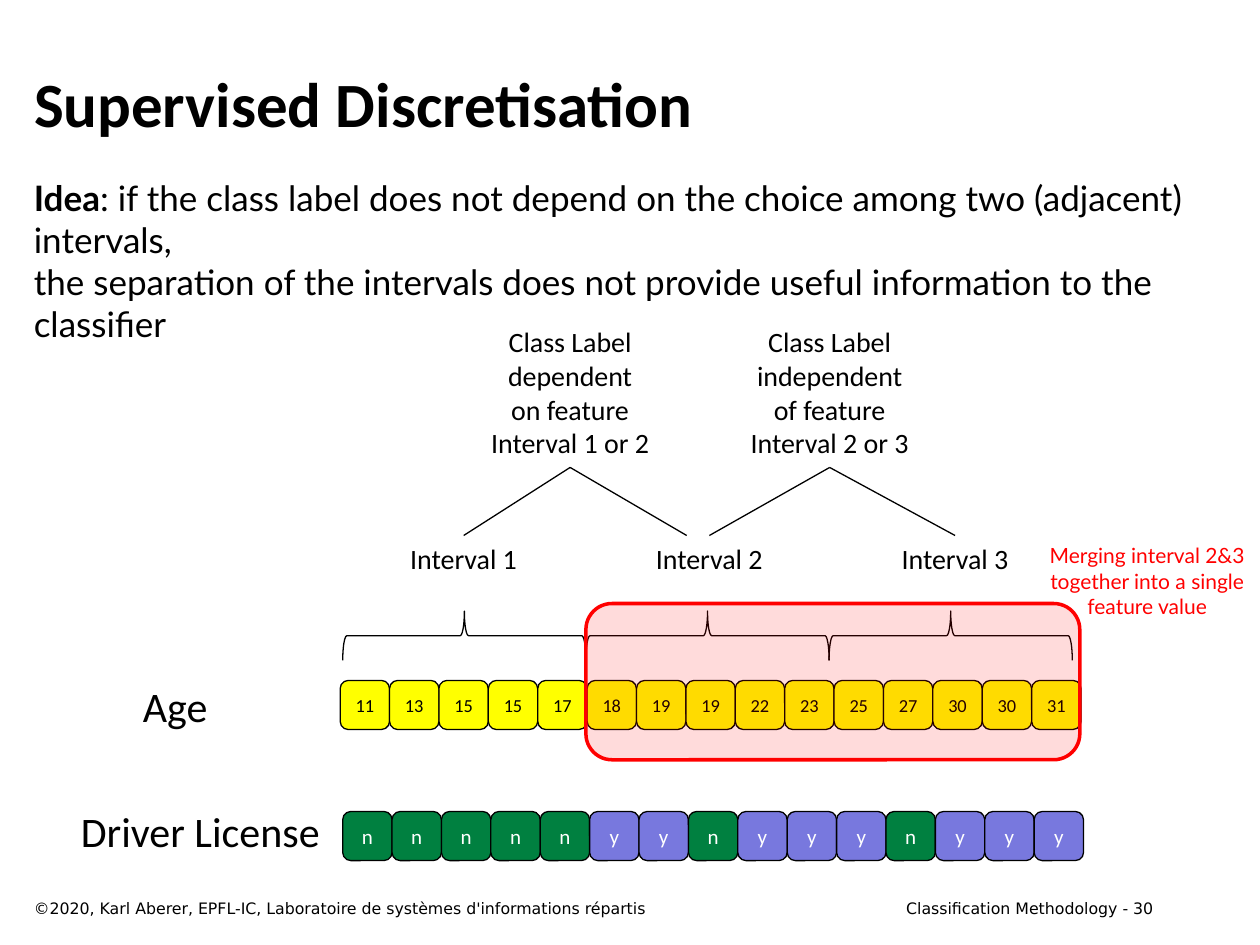
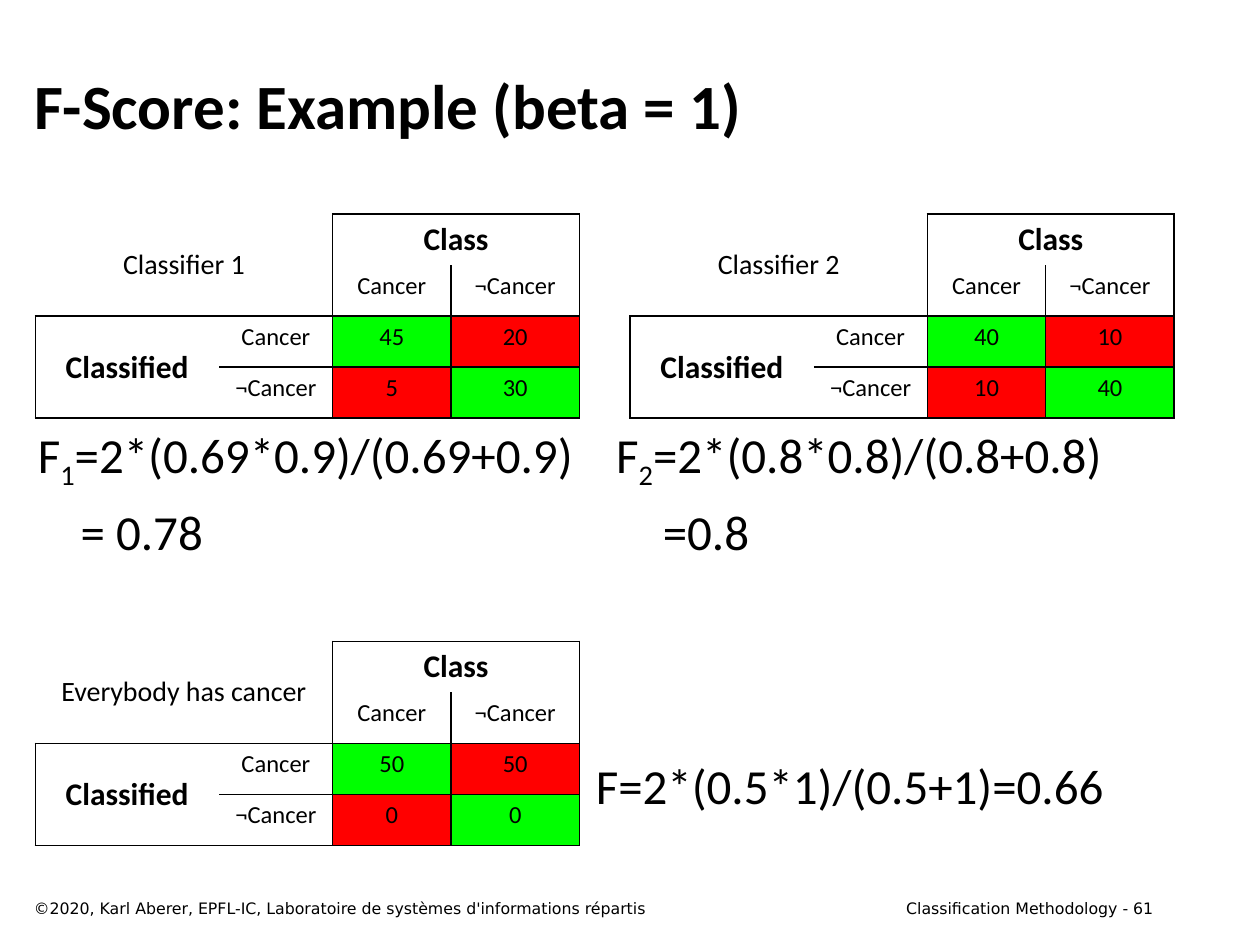
from dataclasses import dataclass

from lxml import etree
from pptx import Presentation
from pptx.dml.color import RGBColor
from pptx.enum.shapes import MSO_CONNECTOR, MSO_SHAPE
from pptx.enum.text import MSO_ANCHOR, MSO_AUTO_SIZE, PP_ALIGN
from pptx.oxml.ns import qn
from pptx.util import Inches, Pt


@dataclass(frozen=True)
class Theme:
    font: str = "Calibri"
    note: str = "Lato"
    foot: str = "DejaVu Sans"
    black: str = "000000"
    white: str = "FFFFFF"
    yellow: str = "FFFF00"
    green: str = "008040"
    violet: str = "7878DE"
    good: str = "00FF00"
    red: str = "FF0000"
    title: float = 36
    math: float = 28
    label: float = 24
    idea: float = 20
    head: float = 18
    text: float = 16
    cell: float = 14
    small: float = 12
    age: float = 10.5
    tiny: float = 9
    thin: float = 0.75


T = Theme()
LEFT, CENTER, RIGHT = PP_ALIGN.LEFT, PP_ALIGN.CENTER, PP_ALIGN.RIGHT
TOP, MIDDLE = MSO_ANCHOR.TOP, MSO_ANCHOR.MIDDLE


def rgb(code):
    return RGBColor.from_string(code)


def sub(parent, tag, **attrs):
    return etree.SubElement(parent, qn(tag), attrs)


def write(frame, *lines, size=T.text, color=T.black, font=T.font, bold=False,
          align=LEFT, anchor=TOP, gap=0, indents=()):
    """Fill a frame; a line is a string or a list of (text, mark) runs, mark being b, sub or empty."""
    frame.vertical_anchor = anchor
    for i, line in enumerate(lines):
        para = frame.paragraphs[0] if i == 0 else frame.add_paragraph()
        if indents:
            props = para._p.get_or_add_pPr()
            props.set("marL", str(Inches(indents[i])))
            props.set("indent", "0")
            sub(props, "a:buNone")
        para.alignment = align
        para.space_before = Pt(gap if i else 0)
        for text, mark in [(line, "")] if isinstance(line, str) else line:
            run = para.add_run()
            run.text = text
            run.font.size = Pt(size)
            run.font.name = font
            run.font.bold = bold or mark == "b"
            run.font.color.rgb = rgb(color)
            if mark == "sub":
                run.font._element.set("baseline", "-25000")


def place(shape, x, y, w, h):
    shape.left, shape.top = Inches(x), Inches(y)
    shape.width, shape.height = Inches(w), Inches(h)


def label(slide, x, y, w, h, *lines, wrap=False, **style):
    box = slide.shapes.add_textbox(Inches(x), Inches(y), Inches(w), Inches(h))
    box.text_frame.word_wrap = wrap
    write(box.text_frame, *lines, **style)
    return box


def shape(slide, kind, x, y, w, h, fill=None, line=T.black, width=T.thin):
    item = slide.shapes.add_shape(kind, Inches(x), Inches(y), Inches(w), Inches(h))
    item.shadow.inherit = False
    if fill:
        item.fill.solid()
        item.fill.fore_color.rgb = rgb(fill)
    else:
        item.fill.background()
    item.line.color.rgb = rgb(line)
    item.line.width = Pt(width)
    return item


def link(slide, start, end, shift=0):
    """Run a line from the foot of one box to the head of another; a shifted end stays free."""
    x = end.left + end.width // 2 + Inches(shift)
    line = slide.shapes.add_connector(MSO_CONNECTOR.STRAIGHT, 0, 0, x, end.top)
    line.begin_connect(start, 2)
    if not shift:
        line.end_connect(end, 0)
    line.line.color.rgb = rgb(T.black)
    line.line.width = Pt(T.thin)
    sub(line._element.spPr, "a:effectLst")


def start(deck, layout, title, y, page):
    """Add a slide with its title and footers."""
    slide = deck.slides.add_slide(deck.slide_layouts[layout])
    place(slide.shapes.title, 0.17, y, 9.08, 1)
    write(slide.shapes.title.text_frame, title, size=T.title, bold=True, anchor=MIDDLE)
    foot = dict(size=T.tiny, font=T.foot, wrap=True)
    label(slide, 0.17, 7.08, 6.42, 0.25,
          "©2020, Karl Aberer, EPFL-IC, Laboratoire de systèmes d'informations répartis", **foot)
    label(slide, 6.97, 7.08, 2.28, 0.25, f"Classification Methodology - {page}",
          align=RIGHT, **foot)
    return slide


def strip(slide, x, y, name, lead, rise, items, fills, color, size):
    """Draw a named row of tiles; lead is how far left of it the name is centred."""
    pitch = 5.88 / len(items)
    for i, (item, fill) in enumerate(zip(items, fills)):
        tile = shape(slide, MSO_SHAPE.ROUNDED_RECTANGLE, x + i * pitch, y, pitch, 0.39, fill)
        write(tile.text_frame, item, size=size, color=color, align=CENTER, anchor=MIDDLE)
    label(slide, x - lead - 1.06, y - rise, 2.12, 0.5, name, size=T.label, align=CENTER)


def spans(slide, x, y):
    """Draw the three named intervals with their braces, and return the names."""
    names, step, high = [], 1.93, 0.39
    for i in range(3):
        mid = x + step * (i + 0.5)
        brace = shape(slide, MSO_SHAPE.LEFT_BRACE, mid - high / 2,
                      y + 0.6 + (high - step) / 2, high, step)
        brace.rotation = 90
        names.append(label(slide, x + 0.43 + 1.95 * i, y, 1.06, 0.37,
                           f"Interval {i + 1}", align=CENTER))
    return names


def claim(slide, x, y, *lines):
    return label(slide, x, y, 1.47, 1.18, *lines, align=CENTER)


def merge(slide, x, y):
    """Frame the merged intervals and note why."""
    zone = shape(slide, MSO_SHAPE.ROUNDED_RECTANGLE, x, y, 3.92, 1.24, T.red, T.red, 2)
    tint = zone._element.spPr.find(qn("a:solidFill"))[0]
    sub(tint, "a:alpha", val="14000")
    label(slide, x + 3.56, y - 0.53, 1.79, 0.71,
          "Merging interval 2&3 together into a single feature value",
          size=T.small, font=T.note, color=T.red, align=CENTER, wrap=True)


def supervised(deck):
    slide = start(deck, 5, "Supervised Discretisation", 0.31, 30)
    ages = "11 13 15 15 17 18 19 19 22 23 25 27 30 30 31".split()
    marks = "nnnnnyynyyynyyy"
    shades = {"n": T.green, "y": T.violet}
    strip(slide, 2.7, 5.4, "Age", 1.31, 0.05, ages, [T.yellow] * len(ages), T.black, T.age)
    strip(slide, 2.72, 6.44, "Driver License", 1.13, 0.1, marks,
          [shades[m] for m in marks], T.white, T.small)
    one, two, three = spans(slide, 2.72, 4.25)
    bound = claim(slide, 3.79, 2.53, "Class Label", "dependent", "on feature", "Interval 1 or 2")
    free = claim(slide, 5.85, 2.53, "Class Label", "independent", "of feature", "Interval 2 or 3")
    link(slide, bound, one)
    link(slide, bound, two, shift=-0.18)
    link(slide, free, two)
    link(slide, free, three)
    label(slide, 0.17, 1.35, 9.83, 0.77,
          [("Idea", "b"), (": if the class label does not depend on the choice among "
                           "two (adjacent) intervals,", "")],
          "the separation of the intervals does not provide useful information to the classifier",
          size=T.idea, font=T.note, wrap=True)
    merge(slide, 4.65, 4.79)


EDGES = [["RB", "R", "LTR", "TR"],
         ["B", "RB", "LRB", "LRB"],
         ["LTB", "TRB", "LTRB", "LTRB"],
         ["LB", "TRB", "LTRB", "LTRB"]]


def border(cell, sides):
    props = cell._tc.get_or_add_tcPr()
    for side in "LRTB":
        line = sub(props, f"a:ln{side}", w=str(Pt(1)))
        if side in sides:
            sub(sub(line, "a:solidFill"), "a:srgbClr", val=T.black)
        else:
            sub(line, "a:noFill")


def matrix(slide, x, y, name, hits):
    """Draw a confusion matrix; hits holds its two rows of counts."""
    frame = slide.shapes.add_table(4, 4, Inches(x), Inches(y), Inches(4.32), Inches(1.62))
    table = frame.table
    table.first_row = table.horz_banding = False
    for col, width in zip(table.columns, (1.46, 0.9, 0.94, 1.02)):
        col.width = Inches(width)
    for r, row in enumerate(EDGES):
        for c, sides in enumerate(row):
            cell = table.cell(r, c)
            border(cell, sides)
            if r > 1 and c > 1:
                cell.fill.solid()
                cell.fill.fore_color.rgb = rgb(T.good if r == c else T.red)
            else:
                cell.fill.background()
    for r, c, down, over, text, size, bold in (
            (0, 0, 1, 1, name, T.text, False),
            (0, 2, 0, 1, "Class", T.head, True),
            (2, 0, 1, 0, "Classified", T.head, True)):
        cell = table.cell(r, c)
        cell.merge(table.cell(r + down, c + over))
        write(cell.text_frame, text, size=size, bold=bold, align=CENTER)
        cell.vertical_anchor = MIDDLE
    for i, kind in enumerate(("Cancer", "¬Cancer"), 2):
        texts = {(1, i): kind, (i, 1): kind}
        texts.update({(i, c): str(n) for c, n in enumerate(hits[i - 2], 2)})
        for (r, c), text in texts.items():
            write(table.cell(r, c).text_frame, text, size=T.cell, align=CENTER)


def formula(body, x, y, index, terms, value, indent):
    """Write an F-score in a body placeholder, its value indented below."""
    place(body, x, y, 4.55, 1.2)
    body.text_frame.auto_size = MSO_AUTO_SIZE.NONE
    write(body.text_frame, [("F", ""), (index, "sub"), (terms, "")], value,
          size=T.math, gap=5.5, indents=(0, indent))


def score(deck):
    slide = start(deck, 3, "F-Score: Example (beta = 1)", 0.33, 61)
    first, second = slide.placeholders[1], slide.placeholders[2]
    formula(first, 0.2, 3.32, "1", "=2*(0.69*0.9)/(0.69+0.9)", "= 0.78", 0.34)
    formula(second, 4.79, 3.32, "2", "=2*(0.8*0.8)/(0.8+0.8)", "=0.8", 0.37)
    matrix(slide, 0.28, 1.7, "Classifier 1", [(45, 20), (5, 30)])
    matrix(slide, 5, 1.7, "Classifier 2", [(40, 10), (10, 40)])
    matrix(slide, 0.28, 5.09, "Everybody has cancer", [(50, 50), (0, 0)])
    label(slide, 4.63, 5.95, 4.28, 0.57, "F=2*(0.5*1)/(0.5+1)=0.66", size=T.math)


def main():
    deck = Presentation()
    deck.slide_width, deck.slide_height = Inches(10), Inches(7.5)
    supervised(deck)
    score(deck)
    deck.save("out.pptx")


if __name__ == "__main__":
    main()
